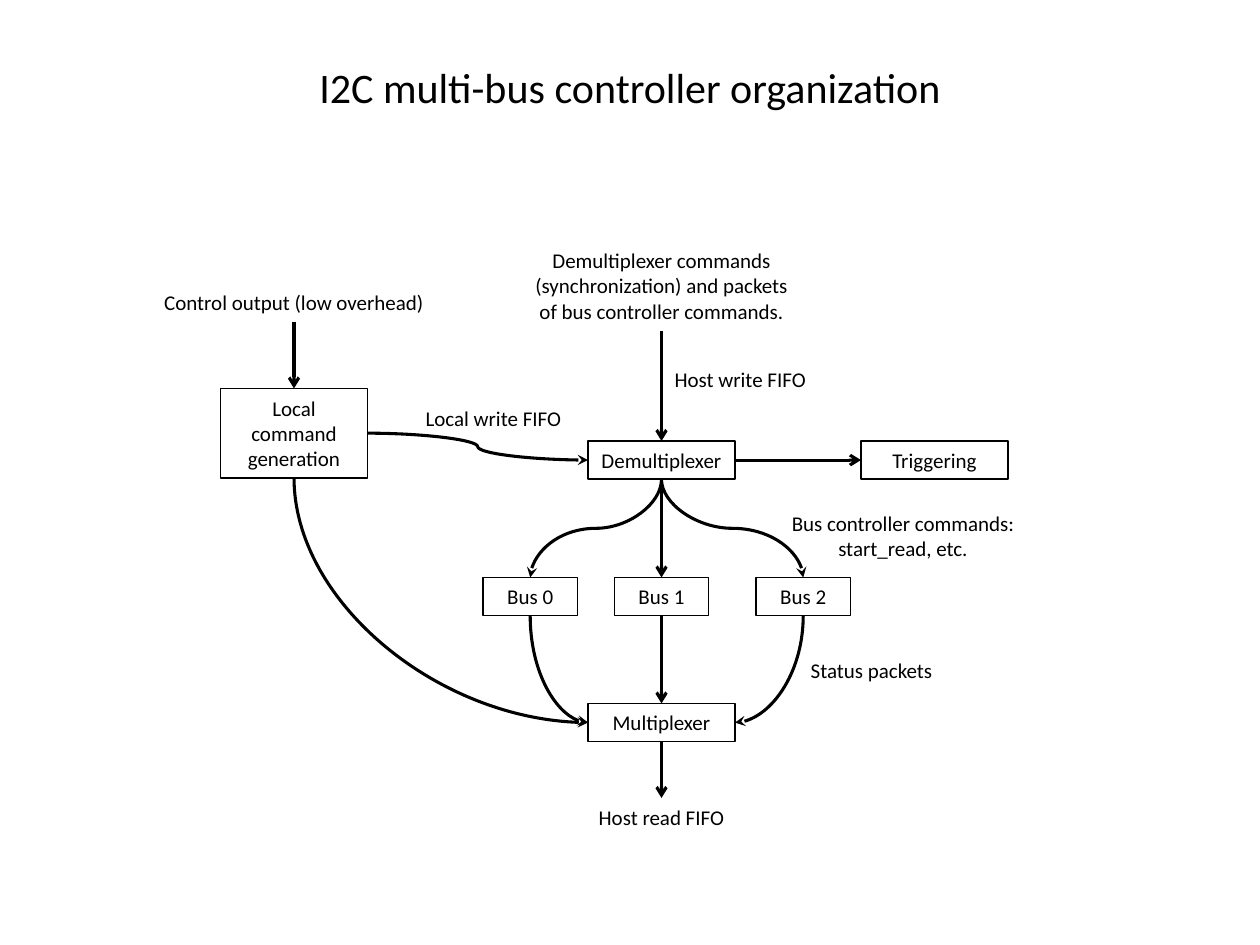
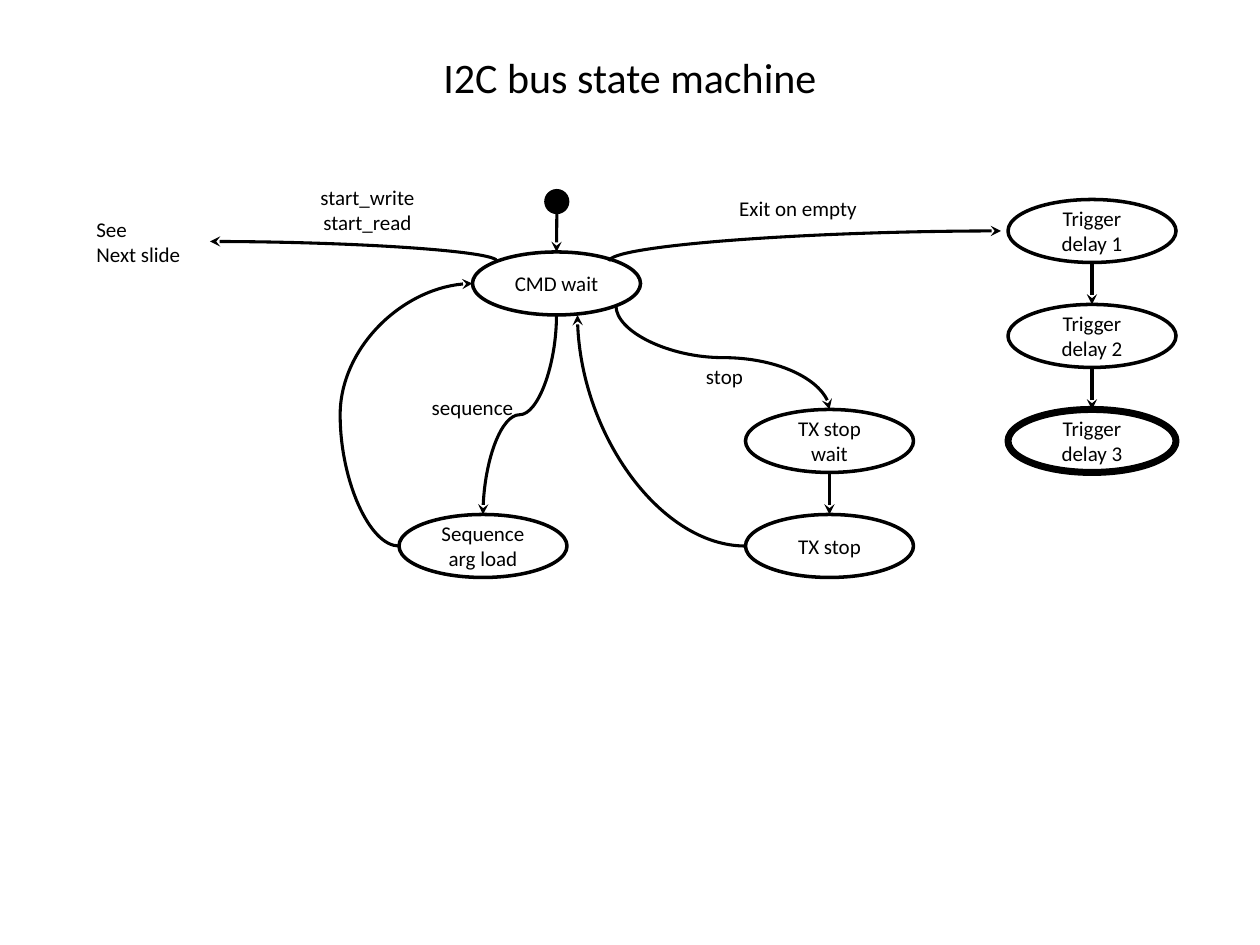
from lxml import etree
from pptx import Presentation
from pptx.dml.color import RGBColor
from pptx.enum import shapes, text
from pptx.oxml import ns
from pptx.util import Pt

HEX = {"ink": "000000"}
FONT = "Calibri"
KIND = shapes.MSO_SHAPE
MID, TOP = text.MSO_ANCHOR.MIDDLE, text.MSO_ANCHOR.TOP
MID_X, LEFT = text.PP_ALIGN.CENTER, text.PP_ALIGN.LEFT
ROW = 21.8      # height of a box with one line of text
LINE = 14.65    # height added by each further line
DIAG = 0.146    # where the diagonal of the frame meets an ellipse


def ink():
    return RGBColor.from_string(HEX["ink"])


def apply(item, form):
    for name, value in form.items():
        setattr(item, name, value)


def write(shape, words, size=12, align=MID_X, anchor=MID):
    frame = shape.text_frame
    frame.text = words
    apply(frame, {"word_wrap": True, "vertical_anchor": anchor})
    for para in frame.paragraphs:
        para.alignment = align
        apply(para.font, {"name": FONT, "size": Pt(size)})
        para.font.color.rgb = ink()


def label(slide, words, x, y, wide, rows=1, **form):
    high = ROW + LINE * (rows - 1)
    area = slide.shapes.add_textbox(*map(Pt, (x, y, wide, high)))
    write(area, words, **{"anchor": TOP, **form})


def title(slide, words, high):
    area = slide.shapes.add_textbox(*map(Pt, (36, 21.6, 648, high)))
    write(area, words, size=24)


def node(slide, kind, words, area, weight):
    """Draw an outlined shape and return its area for the arrows."""
    shape = slide.shapes.add_shape(kind, *map(Pt, area))
    shape.shadow.inherit = False
    shape.fill.background()
    shape.line.color.rgb = ink()
    shape.line.width = Pt(weight)
    write(shape, words)
    return area


def box(slide, words, x, y, wide=84, rows=1):
    area = (x, y, wide, ROW + LINE * (rows - 1))
    return node(slide, KIND.RECTANGLE, words, area, 0.75)


def state(slide, words, x, y, weight=2):
    return node(slide, KIND.OVAL, words, (x, y, 96, 36), weight)


def dot(slide, x, y, size):
    shape = slide.shapes.add_shape(KIND.FLOWCHART_CONNECTOR,
                                   *map(Pt, (x, y, size, size)))
    shape.shadow.inherit = False
    shape.fill.solid()
    shape.fill.fore_color.rgb = ink()
    shape.line.fill.background()
    return x, y, size, size


def spot(area, across, down):
    """Point at a share of the width and height of an area."""
    x, y, wide, high = area
    return x + wide * across, y + high * down


def top(area):
    return spot(area, 0.5, 0)


def foot(area):
    return spot(area, 0.5, 1)


def left(area):
    return spot(area, 0, 0.5)


def right(area):
    return spot(area, 1, 0.5)


def link(slide, start, end, kind, head):
    conn = slide.shapes.add_connector(kind, *map(Pt, start + end))
    conn.line.color.rgb = ink()
    conn.line.width = Pt(1.75)
    etree.SubElement(conn.line._get_or_add_ln(), ns.qn("a:tailEnd"), type=head)
    props = conn._element.spPr
    etree.SubElement(props, ns.qn("a:effectLst"))
    return props


def arrow(slide, start, end, head="arrow"):
    link(slide, start, end, shapes.MSO_CONNECTOR.STRAIGHT, head)


def curve(slide, start, end, down=False, bend=False, mid=None):
    """Curved arrow: down leaves vertically, bend makes one turn, not two."""
    (x1, y1), (x2, y2) = start, end
    dx, dy = x2 - x1, y2 - y1
    if down:
        turn = 270 if dx * dy > 0 else 90
    else:
        turn = 180 if dy < 0 else 0
    # The span before the frame is turned about its centre
    sx, sy = {0: (dx, dy), 90: (dy, -dx),
              180: (-dx, -dy), 270: (-dy, dx)}[turn]
    cx, cy = (x1 + x2) / 2, (y1 + y2) / 2
    props = link(slide, (cx - sx / 2, cy - sy / 2), (cx + sx / 2, cy + sy / 2),
                 shapes.MSO_CONNECTOR.CURVE, "stealth")
    if turn:
        props.find(ns.qn("a:xfrm")).set("rot", str(turn * 60000))
    geom = props.find(ns.qn("a:prstGeom"))
    if bend:
        geom.set("prst", "curvedConnector2")
    if mid is not None:
        etree.SubElement(geom.find(ns.qn("a:avLst")), ns.qn("a:gd"),
                         name="adj1", fmla=f"val {round(mid * 100000)}")


def control(slide):
    title(slide, "I2C multi-bus controller organization", 56)
    local = box(slide, "Local command generation", 126, 222, rows=3)
    demux = box(slide, "Demultiplexer", 336, 252)
    trig = box(slide, "Triggering", 492, 252)
    buses = [box(slide, f"Bus {i}", x, 330, wide=54)
             for i, x in enumerate((276, 351, 432))]
    mux = box(slide, "Multiplexer", 336, 402)

    for words, x, y, wide, rows in (
        ("Control output (low overhead)", 84, 162, 168, 1),
        ("Demultiplexer commands (synchronization) and packets "
         "of bus controller commands.", 294, 138, 168, 3),
        ("Host write FIFO", 366, 206, 114, 1),
        ("Local write FIFO", 228, 228, 108, 1),
        ("Bus controller commands: start_read, etc.", 432, 288, 168, 2),
        ("Status packets", 450, 372, 96, 1),
        ("Host read FIFO", 324, 456, 108, 1),
    ):
        label(slide, words, x, y, wide, rows)

    first, middle, last = buses
    for start, end in (
        ((168, 183.8), top(local)),
        ((378, 189), top(demux)),
        (right(demux), left(trig)),
        (foot(demux), top(middle)),
        (foot(middle), top(mux)),
        (foot(mux), (378, 456)),
    ):
        arrow(slide, start, end)
    curve(slide, right(local), left(demux))
    for bus in (first, last):
        curve(slide, foot(demux), top(bus), down=True)
    for start, end in ((local, left(mux)), (first, left(mux)),
                       (last, right(mux))):
        curve(slide, foot(start), end, down=True, bend=True)


def machine(slide):
    title(slide, "I2C bus state machine", 44.6)
    begin = dot(slide, 311, 108, 14.4)
    cmd = state(slide, "CMD wait", 270, 144)
    wait = state(slide, "TX stop wait", 426, 234)
    stop = state(slide, "TX stop", 426, 294)
    load = state(slide, "Sequence arg load", 228, 294)
    delays = [state(slide, f"Trigger delay {i + 1}", 576, 114 + 60 * i, weight)
              for i, weight in enumerate((2, 2, 4))]

    label(slide, "See\nNext slide", 48, 120, 84, 2, align=LEFT)
    for words, x, y, wide, rows in (
        ("start_write\nstart_read", 156, 102, 108, 2),
        ("Exit on empty", 402, 108, 108, 1),
        ("stop", 360, 204, 108, 1),
        ("sequence", 234, 222, 72, 1),
    ):
        label(slide, words, x, y, wide, rows)

    for upper, lower in ((begin, cmd), (wait, stop), *zip(delays, delays[1:])):
        arrow(slide, foot(upper), top(lower), "stealth")
    curve(slide, (348, 149.3), (572, 132), down=True, bend=True)
    curve(slide, spot(cmd, DIAG, DIAG), (120, 138), down=True, bend=True)
    curve(slide, spot(cmd, 1 - DIAG, 1 - DIAG), top(wait), down=True)
    curve(slide, foot(cmd), top(load), down=True)
    curve(slide, left(stop), (330, 180), bend=True)
    curve(slide, left(load), left(cmd), mid=-0.8)


def main():
    deck = Presentation()
    apply(deck, {"slide_width": Pt(720), "slide_height": Pt(540)})
    for draw in (control, machine):
        draw(deck.slides.add_slide(deck.slide_layouts[6]))
    deck.save("out.pptx")


if __name__ == "__main__":
    main()
